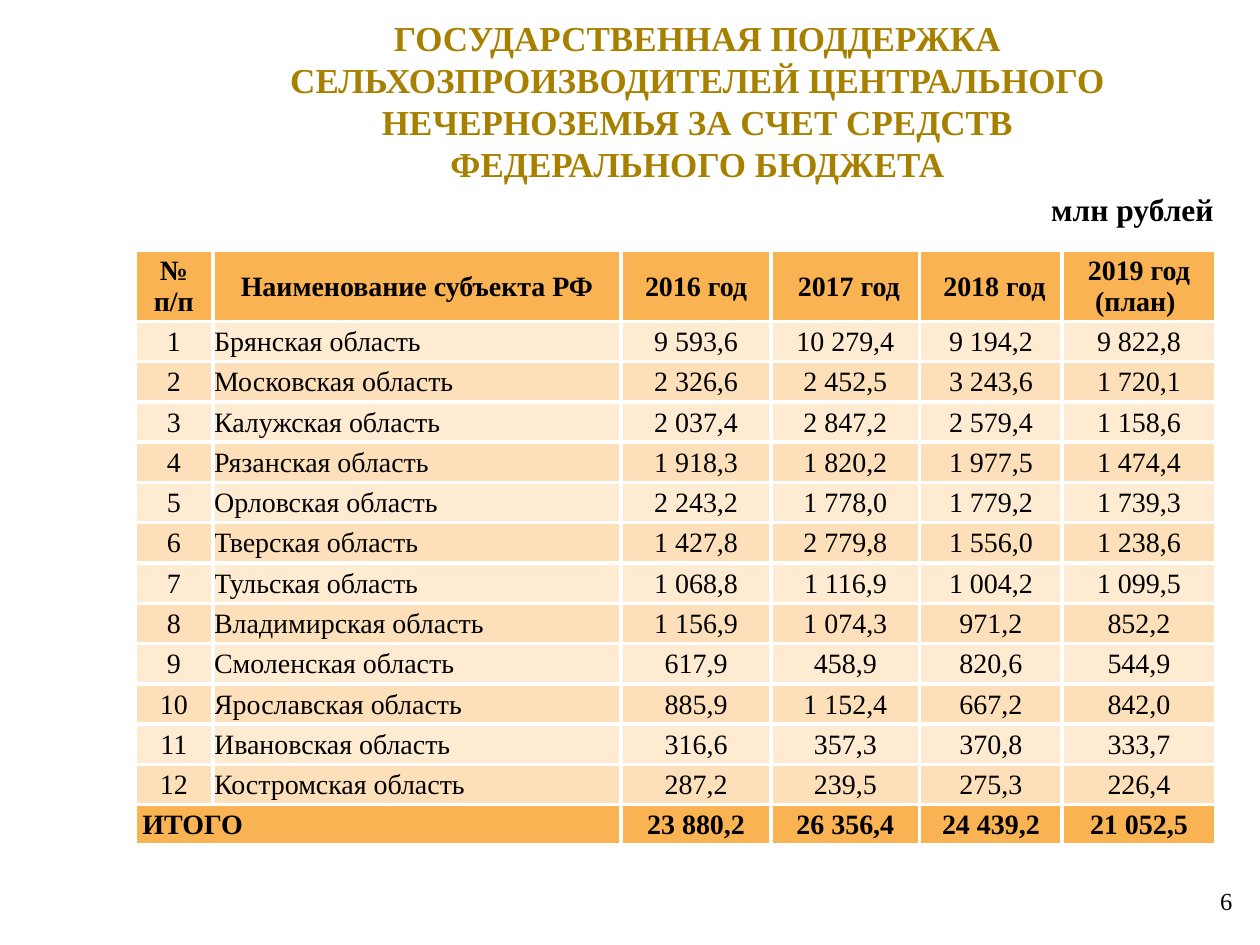
"""Builds the slide on federal support for farm producers of the Central Non-Black Earth region."""
from lxml.etree import SubElement
from pptx import Presentation
from pptx.dml.color import RGBColor
from pptx.enum.text import MSO_ANCHOR as ANCHOR, MSO_AUTO_SIZE as AUTO_SIZE, PP_ALIGN as ALIGN
from pptx.oxml import parse_xml
from pptx.oxml.ns import nsdecls, qn
from pptx.util import Inches, Pt

FONT = "Times New Roman"
BLACK = RGBColor(0x00, 0x00, 0x00)
WHITE = RGBColor(0xFF, 0xFF, 0xFF)
GOLD = RGBColor(0xA8, 0x80, 0x00)
ORANGE = RGBColor(0xF9, 0xB3, 0x53)
PALE = RGBColor(0xFE, 0xEB, 0xD2)
PEACH = RGBColor(0xFD, 0xE0, 0xB9)

TITLE = (
    "ГОСУДАРСТВЕННАЯ ПОДДЕРЖКА СЕЛЬХОЗПРОИЗВОДИТЕЛЕЙ ЦЕНТРАЛЬНОГО НЕЧЕРНОЗЕМЬЯ ЗА СЧЕТ СРЕДСТВ\n"
    "ФЕДЕРАЛЬНОГО БЮДЖЕТА"
)
UNIT = "млн рублей"
PAGE = "6"
HEADER = ("№\nп/п", "Наименование субъекта РФ", "2016 год", " 2017 год", " 2018 год", "2019 год (план) ")
REGIONS = [
    ("Брянская область", "9 593,6", "10 279,4", "9 194,2", "9 822,8"),
    ("Московская область", "2 326,6", "2 452,5", "3 243,6", "1 720,1"),
    ("Калужская область", "2 037,4", "2 847,2", "2 579,4", "1 158,6"),
    ("Рязанская область", "1 918,3", "1 820,2", "1 977,5", "1 474,4"),
    ("Орловская область", "2 243,2", "1 778,0", "1 779,2", "1 739,3"),
    ("Тверская область", "1 427,8", "2 779,8", "1 556,0", "1 238,6"),
    ("Тульская область", "1 068,8", "1 116,9", "1 004,2", "1 099,5"),
    ("Владимирская область", "1 156,9", "1 074,3", "971,2", "852,2"),
    ("Смоленская область", "617,9", "458,9", "820,6", "544,9"),
    ("Ярославская область", "885,9", "1 152,4", "667,2", "842,0"),
    ("Ивановская область", "316,6", "357,3", "370,8", "333,7"),
    ("Костромская область", "287,2", "239,5", "275,3", "226,4"),
]
TOTAL = ("ИТОГО", "", "23 880,2", "26 356,4", "24 439,2", "21 052,5")

LEFT = 1.07
COLUMN_WIDTHS = (0.62, 3.24, 1.19, 1.18, 1.13, 1.22)
HEADER_HEIGHT, ROW_HEIGHT = 0.56, 0.32


def write(frame, text, size=16, color=BLACK, bold=False, align=ALIGN.CENTER, spacing=None):
    frame.word_wrap = True
    frame.text = text
    for paragraph in frame.paragraphs:
        paragraph.alignment = align
        if spacing:
            paragraph.line_spacing = spacing
        for run in paragraph.runs:
            run.font.name = FONT
            run.font.size = Pt(size)
            run.font.bold = bold
            run.font.color.rgb = color


def add_label(slide, text, box, **style):
    label = slide.shapes.add_textbox(*map(Inches, box))
    write(label.text_frame, text, align=ALIGN.RIGHT, **style)


def add_borders(cell):
    properties = cell._tc.get_or_add_tcPr()
    for position, side in enumerate(("lnL", "lnR", "lnT", "lnB")):
        line = parse_xml(f'<a:{side} {nsdecls("a")} w="{Pt(2.25)}"/>')
        fill = SubElement(line, qn("a:solidFill"))
        SubElement(fill, qn("a:srgbClr")).set("val", str(WHITE))
        properties.insert(position, line)


def add_title(slide):
    title = slide.shapes.title
    title.left, title.top, title.width, title.height = map(Inches, (LEFT, 0.13, 8.93, 1.34))
    frame = title.text_frame
    frame.auto_size = AUTO_SIZE.NONE
    frame.vertical_anchor = ANCHOR.MIDDLE
    frame.margin_top = frame.margin_bottom = 0
    write(frame, TITLE, size=20, color=GOLD, bold=True, spacing=Pt(24))


def add_support_table(slide):
    rows = [HEADER, *((str(number), *region) for number, region in enumerate(REGIONS, 1)), TOTAL]
    last = len(rows) - 1
    height = HEADER_HEIGHT + last * ROW_HEIGHT
    box = map(Inches, (LEFT, 1.99, sum(COLUMN_WIDTHS), height))
    table = slide.shapes.add_table(len(rows), len(COLUMN_WIDTHS), *box).table
    for column, width in zip(table.columns, COLUMN_WIDTHS):
        column.width = Inches(width)
    for r, values in enumerate(rows):
        table.rows[r].height = Inches(ROW_HEIGHT if r else HEADER_HEIGHT)
        emphasized = r in (0, last)
        for c, value in enumerate(values):
            cell = table.cell(r, c)
            is_total_name = r == last and c == 0
            is_name = is_total_name or (r > 0 and c == 1)
            cell.margin_left = Inches(0.06 if is_total_name else 0.01)
            cell.margin_top = cell.margin_right = Inches(0.01)
            cell.margin_bottom = 0
            cell.vertical_anchor = ANCHOR.MIDDLE
            cell.fill.solid()
            cell.fill.fore_color.rgb = ORANGE if emphasized else (PEACH, PALE)[r % 2]
            add_borders(cell)
            write(cell.text_frame, value, bold=emphasized, align=ALIGN.LEFT if is_name else ALIGN.CENTER)
    table.cell(last, 0).merge(table.cell(last, 1))


def main():
    deck = Presentation()
    deck.slide_width, deck.slide_height = Inches(10), Inches(7.5)
    slide = deck.slides.add_slide(deck.slide_layouts[5])
    add_title(slide)
    add_label(slide, PAGE, (9.41, 6.98, 0.47, 0.34), size=14)
    add_support_table(slide)
    add_label(slide, UNIT, (LEFT, 1.46, 8.66, 0.4), size=18, bold=True)
    deck.save("out.pptx")


if __name__ == "__main__":
    main()
